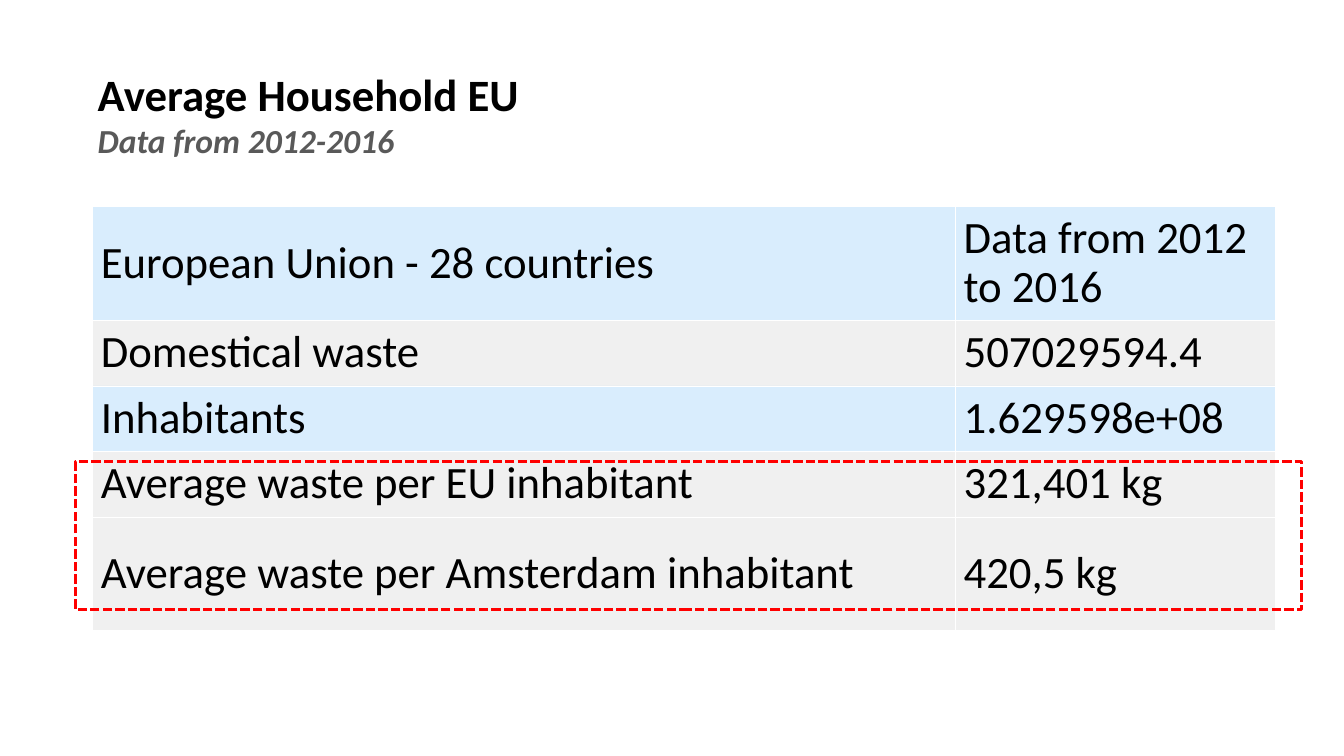
import dataclasses

import lxml.etree
import pptx
import pptx.dml.color
import pptx.enum.dml
import pptx.enum.shapes
import pptx.enum.text
import pptx.oxml.ns
import pptx.util


@dataclasses.dataclass(frozen=True)
class Theme:
    font: str = "Calibri"
    ink: str = "000000"
    muted: str = "595959"
    band: str = "42A5F5"
    band_alpha: int = 20
    plain: str = "F0F0F0"
    grid: str = "FFFFFF"
    accent: str = "FF0000"
    large: int = 32
    small: int = 24
    grid_width: float = 0.45
    frame_width: float = 2.25


class WasteSlide:
    """Draws one slide, with lengths given in percent of the slide's size."""

    def __init__(self, deck, theme):
        self.deck = deck
        self.theme = theme
        self.slide = deck.slides.add_slide(deck.slide_layouts[5])

    def across(self, share):
        return round(self.deck.slide_width * share / 100)

    def down(self, share):
        return round(self.deck.slide_height * share / 100)

    def box(self, left, top, width, height):
        return self.across(left), self.down(top), self.across(width), self.down(height)

    def add_wording(self, paragraph, wording, size, color, spacing=1.0, **styles):
        paragraph.alignment = pptx.enum.text.PP_ALIGN.LEFT
        paragraph.line_spacing = spacing
        run = paragraph.add_run()
        run.text = wording
        formats = {"name": self.theme.font, "size": pptx.util.Pt(size), **styles}
        for key, value in formats.items():
            setattr(run.font, key, value)
        run.font.color.rgb = pptx.dml.color.RGBColor.from_string(color)

    def heading(self, place, main_line, sub_line):
        title = self.slide.shapes.title
        for key, value in zip(("left", "top", "width", "height"), self.box(*place)):
            setattr(title, key, value)
        frame = title.text_frame
        settings = {
            "word_wrap": False,
            "auto_size": pptx.enum.text.MSO_AUTO_SIZE.SHAPE_TO_FIT_TEXT,
            "vertical_anchor": pptx.enum.text.MSO_ANCHOR.TOP,
        }
        for key, value in settings.items():
            setattr(frame, key, value)
        theme = self.theme
        self.add_wording(frame.paragraphs[0], main_line, theme.large, theme.ink, bold=True)
        period = frame.add_paragraph()
        period.space_before = pptx.util.Pt(0)
        self.add_wording(period, sub_line, theme.small, theme.muted, bold=True, italic=True)

    def cell(self, cell, wording, banded):
        theme = self.theme
        qn = pptx.oxml.ns.qn
        settings = {
            "vertical_anchor": pptx.enum.text.MSO_ANCHOR.MIDDLE,
            "margin_left": pptx.util.Inches(0.08),
            "margin_right": pptx.util.Inches(0.08),
            "margin_top": pptx.util.Inches(0.05),
            "margin_bottom": pptx.util.Inches(0.05),
        }
        for key, value in settings.items():
            setattr(cell, key, value)
        properties = cell._tc.get_or_add_tcPr()
        for side in ("a:lnL", "a:lnR", "a:lnT", "a:lnB"):
            line = lxml.etree.SubElement(
                properties, qn(side), w=str(pptx.util.Pt(theme.grid_width))
            )
            fill = lxml.etree.SubElement(line, qn("a:solidFill"))
            lxml.etree.SubElement(fill, qn("a:srgbClr"), val=theme.grid)
        cell.fill.solid()
        cell.fill.fore_color.rgb = pptx.dml.color.RGBColor.from_string(
            theme.band if banded else theme.plain
        )
        if banded:
            color = properties.find(qn("a:solidFill")).find(qn("a:srgbClr"))
            lxml.etree.SubElement(color, qn("a:alpha"), val=str(theme.band_alpha * 1000))
        self.add_wording(
            cell.text_frame.paragraphs[0], wording, theme.large, theme.ink, 0.9
        )

    def table(self, left, top, columns, rows):
        heights = [height for height, _, _ in rows]
        place = self.box(left, top, sum(columns), sum(heights))
        table = self.slide.shapes.add_table(len(rows), len(columns), *place).table
        table.first_row = table.horz_banding = False
        for column, width in zip(table.columns, columns):
            column.width = self.across(width)
        for row, (height, banded, wordings) in zip(table.rows, rows):
            row.height = self.down(height)
            for cell, wording in zip(row.cells, wordings):
                self.cell(cell, wording, banded)

    def highlight(self, *place):
        frame = self.slide.shapes.add_shape(
            pptx.enum.shapes.MSO_SHAPE.RECTANGLE, *self.box(*place)
        )
        frame.shadow.inherit = False
        frame.fill.background()
        frame.line.color.rgb = pptx.dml.color.RGBColor.from_string(self.theme.accent)
        settings = {
            "width": pptx.util.Pt(self.theme.frame_width),
            "dash_style": pptx.enum.dml.MSO_LINE.SQUARE_DOT,
        }
        for key, value in settings.items():
            setattr(frame.line, key, value)


def main():
    deck = pptx.Presentation()
    deck.slide_width = pptx.util.Inches(13.34)
    deck.slide_height = pptx.util.Inches(7.5)
    page = WasteSlide(deck, Theme())
    tall, short = 15.07, 8.67
    rows = [
        (tall, True, ("European Union - 28 countries", "Data from 2012 to 2016")),
        (short, False, ("Domestical waste", "507029594.4")),
        (short, True, ("Inhabitants", "1.629598e+08")),
        (short, False, ("Average waste per EU inhabitant", "321,401 kg")),
        (tall, False, ("Average waste per Amsterdam inhabitant", "420,5 kg")),
    ]
    page.table(6.9, 27.3, (64.2, 23.8), rows)
    page.heading((6.52, 8.13, 33.81, 13.87), "Average Household EU", "Data from 2012-2016")
    page.highlight(5.62, 61.07, 91.23, 19.6)
    deck.save("out.pptx")


if __name__ == "__main__":
    main()
